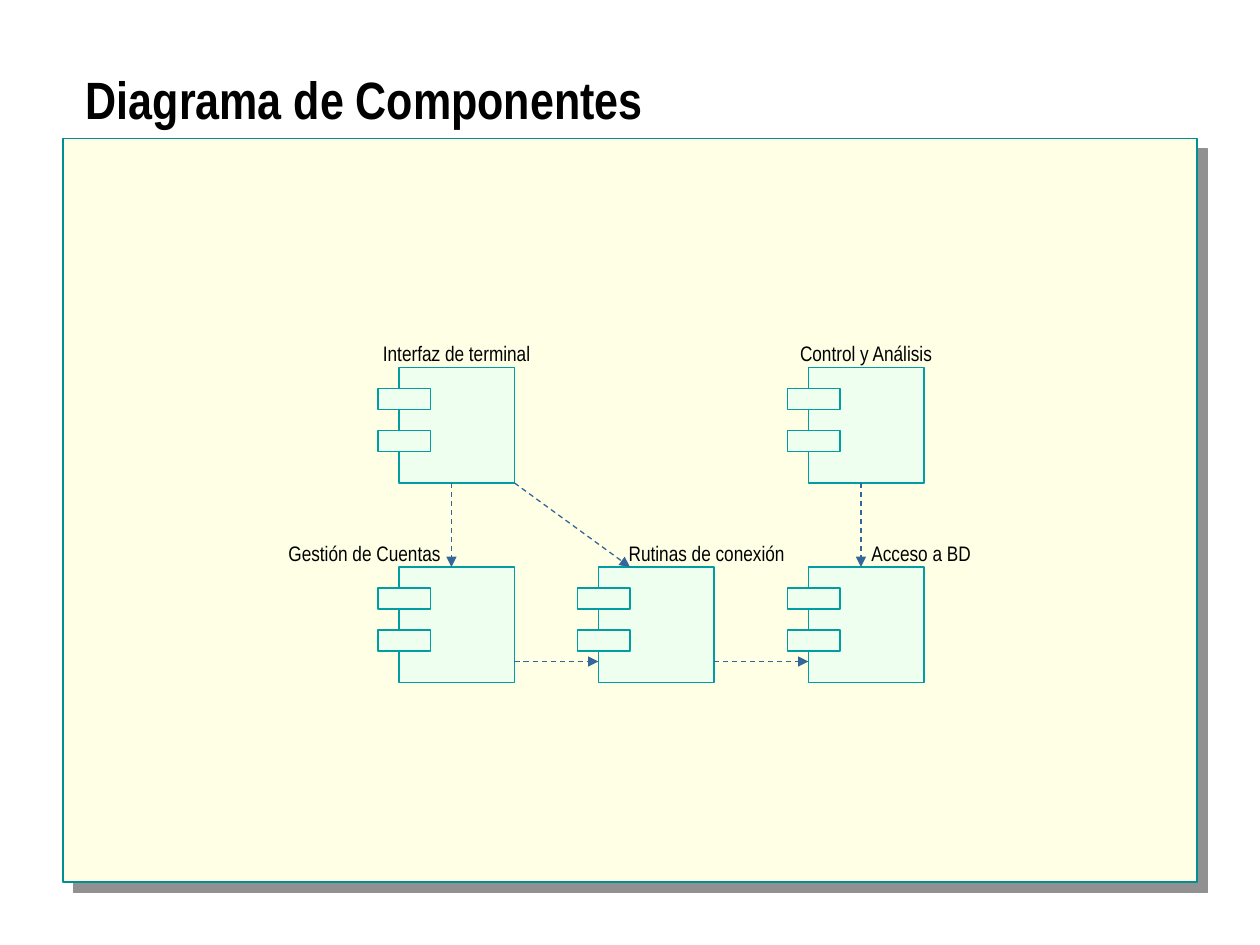
from lxml import etree
from pptx import Presentation
from pptx import util as u
from pptx.dml.color import RGBColor
from pptx.enum import dml, shapes, text
from pptx.oxml.ns import qn

Pt = u.Pt

# Content: name -> column, row, label centre, label width
TITLE = "Diagrama de Componentes"
COMPONENTS = {
    "Interfaz de terminal": (0, 0, 260.9, 93),
    "Gestión de Cuentas": (0, 1, 208.3, 96),
    "Rutinas de conexión": (1, 1, 403.8, 98),
    "Acceso a BD": (2, 1, 526.4, 66),
    "Control y Análisis": (2, 0, 494.9, 84),
}
# Source, target, and the offset of each end within its body
DEPENDENCIES = [
    ("Interfaz de terminal", "Gestión de Cuentas", (30, 66), (30, 0)),
    ("Interfaz de terminal", "Rutinas de conexión", (66, 66), (18, 0)),
    ("Gestión de Cuentas", "Rutinas de conexión", (66, 54), (0, 54)),
    ("Rutinas de conexión", "Acceso a BD", (66, 54), (0, 54)),
    ("Control y Análisis", "Acceso a BD", (30, 66), (30, 0)),
]

THEME = {
    "font": "Arial Narrow", "title_size": 30, "label_size": 12,
    "ink": "000000", "panel": "FFFFE5", "panel_line": "009094",
    "shadow": "919191", "component": "EFFFEF", "component_line": "009EA1",
    "arrow": "336699",
}

# Layout
COLUMNS, ROWS = (228, 342, 462), (210, 324)
BODY = 66
TAB_LEFT, TAB_TOPS, TAB_SIZE = -12, (12, 36), (30, 12)
LABEL_RISE, LABEL_HEIGHT = 16.2, 16


def color(key):
    return RGBColor.from_string(THEME[key])


def add_rect(left, top, width, height, fill, line, weight=0.75):
    rect = slide.shapes.add_shape(
        shapes.MSO_SHAPE.RECTANGLE, Pt(left), Pt(top), Pt(width), Pt(height))
    rect.shadow.inherit = False
    rect.fill.solid()
    rect.fill.fore_color.rgb = color(fill)
    rect.line.color.rgb = color(line)
    rect.line.width = Pt(weight)
    return rect


def add_text(words, left, top, width, height, size, bold=False):
    box = slide.shapes.add_textbox(Pt(left), Pt(top), Pt(width), Pt(height))
    run = box.text_frame.paragraphs[0].add_run()
    run.text = words
    run.font.name = THEME["font"]
    run.font.size = Pt(THEME[size])
    run.font.bold = bold
    run.font.color.rgb = color("ink")
    return box.text_frame


def add_arrow(start, end):
    arrow = slide.shapes.add_connector(
        shapes.MSO_CONNECTOR.STRAIGHT, *(Pt(v) for v in (*start, *end)))
    arrow.line.color.rgb = color("arrow")
    arrow.line.width = Pt(0.75)
    arrow.line.dash_style = dml.MSO_LINE.DASH
    properties = arrow._element.spPr
    etree.SubElement(properties.find(qn("a:ln")), qn("a:tailEnd"), type="triangle")
    etree.SubElement(properties, qn("a:effectLst"))


def body_point(name, offset):
    column, row = COMPONENTS[name][:2]
    return COLUMNS[column] + offset[0], ROWS[row] + offset[1]


prs = Presentation()
prs.slide_width, prs.slide_height = Pt(720), Pt(540)
slide = prs.slides.add_slide(prs.slide_layouts[6])

# Panel with a hard shadow
panel = add_rect(36, 79.2, 648, 424.8, "panel", "panel_line", 1)
shadow = etree.SubElement(
    panel._element.spPr.find(qn("a:effectLst")), qn("a:outerShdw"),
    blurRad="0", dist=str(Pt(8.5)), dir="2700000", algn="ctr", rotWithShape="0")
etree.SubElement(shadow, qn("a:srgbClr"), val=THEME["shadow"])

# Title
title = add_text(TITLE, 42, 41.5, 636, 36, "title_size", bold=True)
title.word_wrap = True
title.vertical_anchor = text.MSO_ANCHOR.BOTTOM
title.paragraphs[0].line_spacing = 0.8

# Components: body and two tabs
for column, row, _, _ in COMPONENTS.values():
    left, top = COLUMNS[column], ROWS[row]
    add_rect(left, top, BODY, BODY, "component", "component_line")
    for tab_top in TAB_TOPS:
        add_rect(left + TAB_LEFT, top + tab_top, *TAB_SIZE,
                 "component", "component_line")

# Dependencies
for source, target, exit_offset, entry_offset in DEPENDENCIES:
    add_arrow(body_point(source, exit_offset), body_point(target, entry_offset))

# Labels
for name, (_, row, centre, width) in COMPONENTS.items():
    label = add_text(name, centre - width / 2, ROWS[row] - LABEL_RISE,
                     width, LABEL_HEIGHT, "label_size")
    label.margin_left = label.margin_right = Pt(3)
    label.margin_top = label.margin_bottom = Pt(1)
    label.word_wrap = False
    label.auto_size = text.MSO_AUTO_SIZE.SHAPE_TO_FIT_TEXT
    label.paragraphs[0].alignment = text.PP_ALIGN.CENTER

prs.save("out.pptx")
